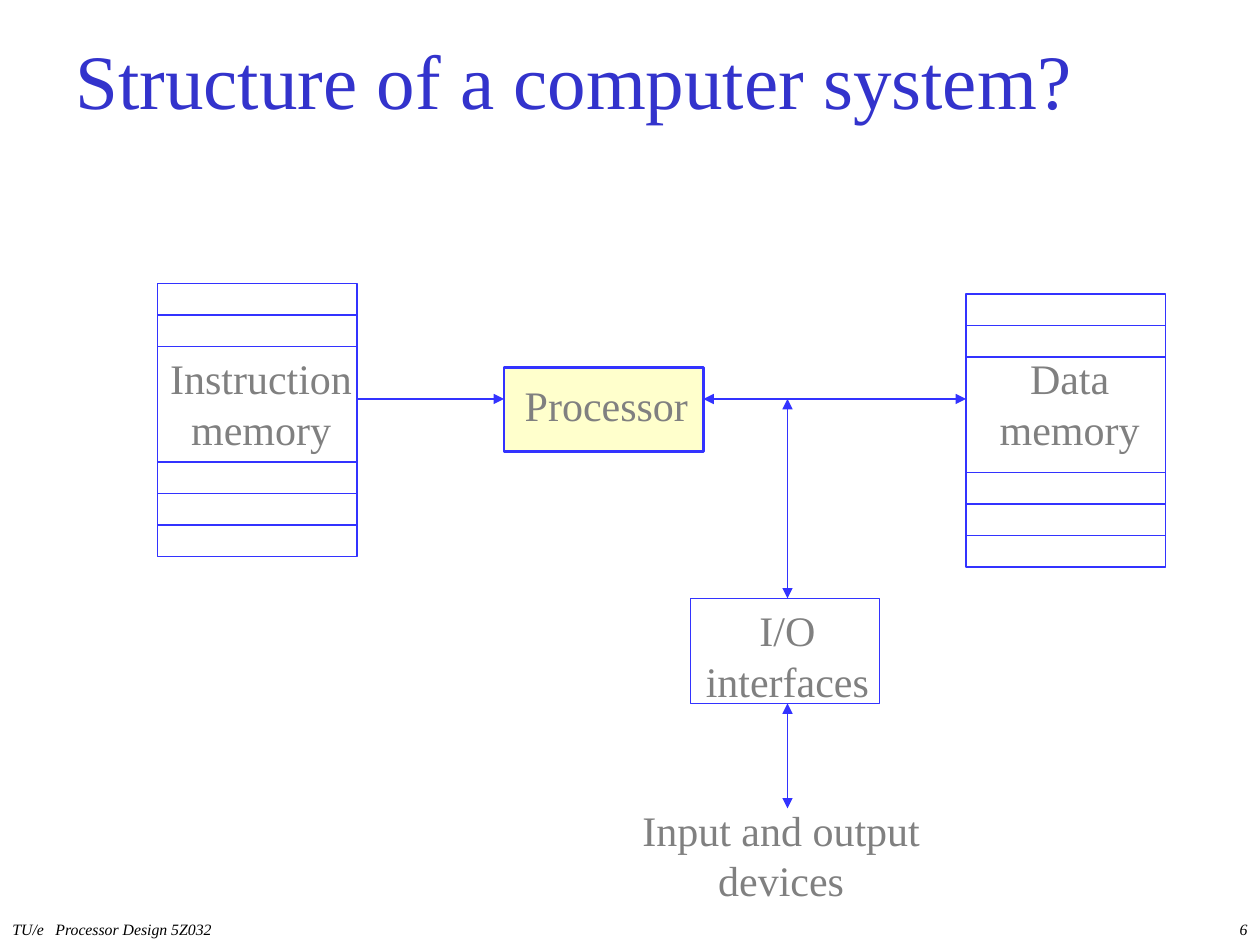
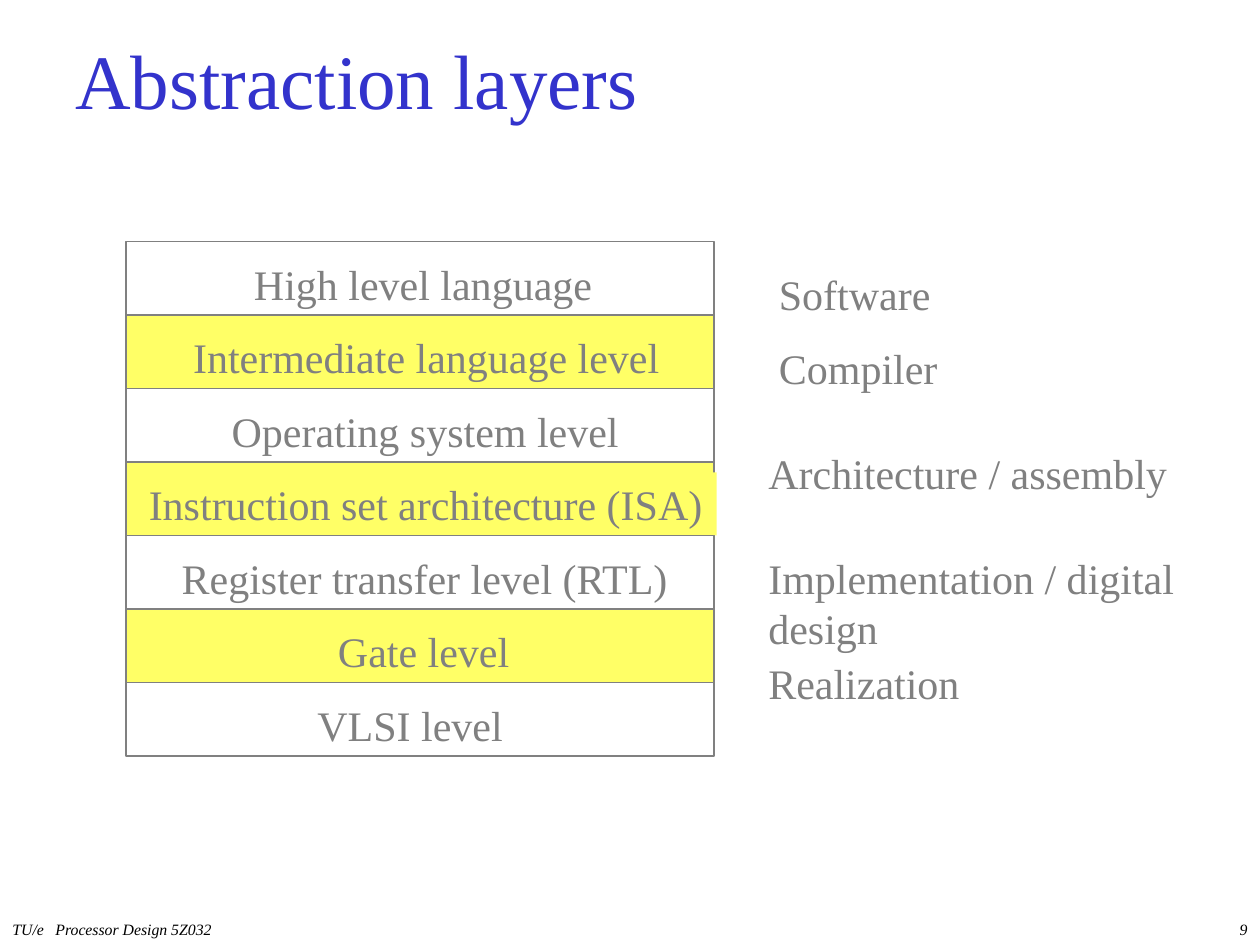
"""Builds two processor design slides: a computer system diagram and its abstraction layers."""
import pptx
import pptx.util
import pptx.dml.color
import pptx.enum.shapes
import pptx.enum.text
import pptx.oxml.ns
from lxml import etree

RGBColor = pptx.dml.color.RGBColor
Align = pptx.enum.text.PP_ALIGN
Anchor = pptx.enum.text.MSO_ANCHOR
AutoSize = pptx.enum.text.MSO_AUTO_SIZE
qn = pptx.oxml.ns.qn

TITLE_BLUE = RGBColor(0x33, 0x33, 0xCC)
LINE_BLUE = RGBColor(0x33, 0x33, 0xFF)
GRAY = RGBColor(0x80, 0x80, 0x80)
BLACK = RGBColor(0x00, 0x00, 0x00)
CREAM = RGBColor(0xFF, 0xFF, 0xCC)
YELLOW = RGBColor(0xFF, 0xFF, 0x66)
FONT = "Times New Roman"

CELL = pptx.util.Inches(1) / 12
COLUMNS, ROWS = 120, 90
TITLE_AREA = (6, 3, 111, 9)
FOOTER_TEXT = "TU/e\tProcessor Design 5Z032"
FOOTER_AREA = (0, 87, 38, 3)
FOOTER_TAB = 4.1
NUMBER_AREA = (95, 87, 25, 3)
LINE_HEIGHT, TWO_LINES = 6, 10.8

SYSTEM_TITLE, SYSTEM_NUMBER = "Structure of a computer system?", "6"
PROCESSOR = (48, 35, 19, 8)
INTERFACES = (65.78, 57, 18, 10)
MEMORIES = [(15, 27), (92, 28)]
MEMORY_WIDTH, MEMORY_HEIGHT = 19, 26
MEMORY_RULES = [3, 6, 17, 20, 23]
SYSTEM_LABELS = [
    ("Instruction\nmemory", (14.75, 33, 20.25, TWO_LINES)),
    ("Data\nmemory", (93.75, 33, 16.25, TWO_LINES)),
    ("I/O\ninterfaces", (65.5, 57, 19, TWO_LINES)),
    ("Input and output\ndevices", (59.5, 76, 29.8, TWO_LINES)),
    ("Processor", (48.8, 35.55, 18.5, LINE_HEIGHT)),
]
BUS_ROW, IO_COLUMN = 38, 75
ARROWS = [
    ((34, BUS_ROW), (48, BUS_ROW), False),
    ((67, BUS_ROW), (92, BUS_ROW), True),
    ((IO_COLUMN, BUS_ROW), (IO_COLUMN, 57), True),
    ((IO_COLUMN, 67), (IO_COLUMN, 77), True),
]

LAYERS_TITLE, LAYERS_NUMBER = "Abstraction layers", "9"
STACK_LEFT, STACK_TOP, STACK_WIDTH, LAYER_HEIGHT = 12, 23, 56, 7
LAYERS = [
    ("High level language", 40.3, 36, None),
    ("Intermediate language level", 40.6, 48, None),
    ("Operating system level", 40.5, 41, None),
    ("Instruction set architecture (ISA)", 40.55, 55.4, YELLOW),
    ("Register transfer level (RTL)", 40.45, 50, None),
    ("Gate level", 40.35, 20, None),
    ("VLSI level", 39.05, 22, None),
]
FIELDS = [
    ("Software", (73, 25, 18, LINE_HEIGHT)),
    ("Compiler", (73, 32, 19, LINE_HEIGHT)),
    ("Architecture / assembly", (72, 42, 42, LINE_HEIGHT)),
    ("Implementation / digital\ndesign", (72, 52, 43, TWO_LINES)),
    ("Realization", (72, 62, 22, LINE_HEIGHT)),
]


def cells(*counts):
    return [pptx.util.Emu(round(count * CELL)) for count in counts]


def add_text(page, text, area, size=24, color=GRAY, align=Align.CENTER,
             anchor=Anchor.TOP, italic=False, wrap=False, fill=None, tab=None):
    box = page.shapes.add_textbox(*cells(*area))
    if fill is not None:
        box.fill.solid()
        box.fill.fore_color.rgb = fill
    frame = box.text_frame
    frame.word_wrap = wrap
    frame.auto_size = AutoSize.NONE if wrap else AutoSize.SHAPE_TO_FIT_TEXT
    frame.vertical_anchor = anchor
    for index, line in enumerate(text.split("\n")):
        para = frame.paragraphs[0] if index == 0 else frame.add_paragraph()
        para.alignment = align
        if tab is not None:
            stops = etree.SubElement(para._p.get_or_add_pPr(), qn("a:tabLst"))
            etree.SubElement(stops, qn("a:tab"), pos=str(cells(tab)[0]), algn="l")
        span = para.add_run()
        span.text = line
        span.font.name = FONT
        span.font.size = pptx.util.Pt(size)
        span.font.italic = italic
        span.font.color.rgb = color


def add_rectangle(page, area, color, fill=None, weight=1):
    shape = page.shapes.add_shape(pptx.enum.shapes.MSO_SHAPE.RECTANGLE, *cells(*area))
    shape.shadow.inherit = False
    if fill is None:
        shape.fill.background()
    else:
        shape.fill.solid()
        shape.fill.fore_color.rgb = fill
    shape.line.color.rgb = color
    shape.line.width = pptx.util.Pt(weight)


def add_line(page, start, end, arrowheads=()):
    line = page.shapes.add_connector(
        pptx.enum.shapes.MSO_CONNECTOR.STRAIGHT, *cells(*start, *end))
    line.line.color.rgb = LINE_BLUE
    line.line.width = pptx.util.Pt(1)
    for name in arrowheads:
        etree.SubElement(line.line._get_or_add_ln(), qn(name), type="triangle")
    etree.SubElement(line._element.spPr, qn("a:effectLst"))


def add_page(deck, title, number):
    page = deck.slides.add_slide(deck.slide_layouts[6])
    add_text(page, title, TITLE_AREA, size=44, color=TITLE_BLUE,
             align=Align.LEFT, anchor=Anchor.MIDDLE, wrap=True)
    footer = dict(size=9, color=BLACK, italic=True, wrap=True)
    add_text(page, FOOTER_TEXT, FOOTER_AREA, align=Align.LEFT, tab=FOOTER_TAB, **footer)
    add_text(page, number, NUMBER_AREA, align=Align.RIGHT, **footer)
    return page


def build_system(deck):
    page = add_page(deck, SYSTEM_TITLE, SYSTEM_NUMBER)
    add_rectangle(page, PROCESSOR, LINE_BLUE, fill=CREAM, weight=1.5)
    for text, area in SYSTEM_LABELS:
        add_text(page, text, area, align=Align.CENTER if "\n" in text else Align.LEFT)
    add_rectangle(page, INTERFACES, LINE_BLUE)
    for left, top in MEMORIES:
        add_rectangle(page, (left, top, MEMORY_WIDTH, MEMORY_HEIGHT), LINE_BLUE)
        for offset in MEMORY_RULES:
            add_line(page, (left, top + offset), (left + MEMORY_WIDTH, top + offset))
    for start, end, both_ways in ARROWS:
        add_line(page, start, end,
                 ("a:headEnd", "a:tailEnd") if both_ways else ("a:tailEnd",))


def build_layers(deck):
    page = add_page(deck, LAYERS_TITLE, LAYERS_NUMBER)
    bands = [(STACK_LEFT, STACK_TOP + index * LAYER_HEIGHT, STACK_WIDTH, LAYER_HEIGHT)
             for index in range(len(LAYERS))]
    for band in bands[1::2]:
        add_rectangle(page, band, GRAY, fill=YELLOW)
    for (text, center, width, fill), (_, top, _, _) in zip(LAYERS, bands):
        add_text(page, text, (center - width / 2, top + 1, width, LINE_HEIGHT),
                 anchor=Anchor.MIDDLE, fill=fill)
    for band in bands[::2]:
        add_rectangle(page, band, GRAY)
    for text, area in FIELDS:
        add_text(page, text, area, align=Align.LEFT, anchor=Anchor.MIDDLE)


def main():
    deck = pptx.Presentation()
    deck.slide_width, deck.slide_height = cells(COLUMNS, ROWS)
    build_system(deck)
    build_layers(deck)
    deck.save("out.pptx")


if __name__ == "__main__":
    main()
